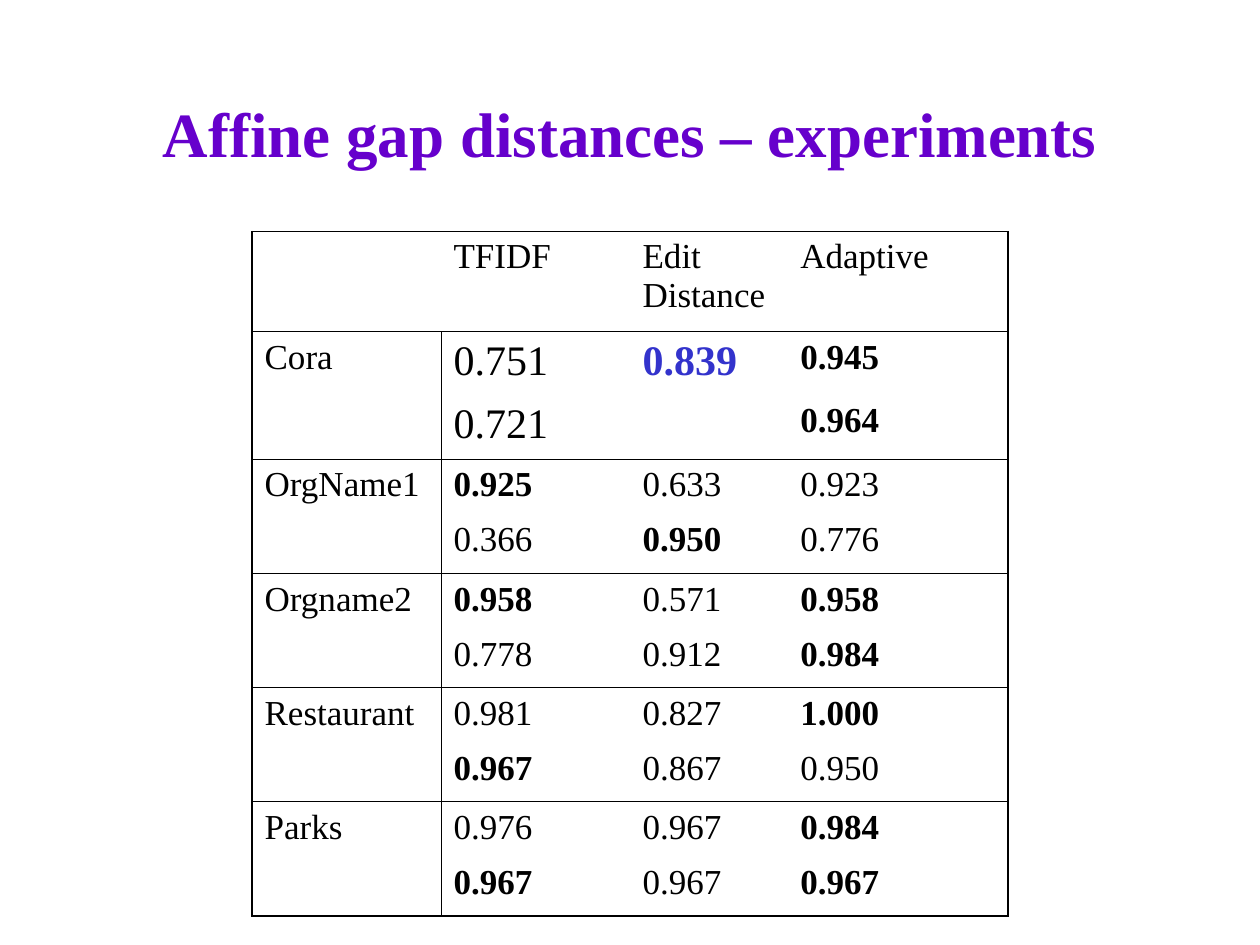
"""Build the slide with the affine gap distance experiments."""
import pptx
import pptx.dml.color
import pptx.enum.text
import pptx.oxml
import pptx.oxml.ns
import pptx.util

Cm = pptx.util.Cm
FONT = "Times New Roman"
BLACK, PURPLE, BLUE = "000000", "6600CC", "3333CC"
THIN, THICK = 0.45, 1.08
COLUMN_WIDTHS = [3.81, 3.81, 3.18, 4.44]
ROW_HEIGHTS = [2.03, 1.27, 1.3] + [1.11, 1.19] * 4
RESULTS = [
    ["", "TFIDF", "Edit Distance", "Adaptive"],
    ["Cora", "0.751", "0.839", "0.945"],
    ["", "0.721", "", "0.964"],
    ["OrgName1", "0.925", "0.633", "0.923"],
    ["", "0.366", "0.950", "0.776"],
    ["Orgname2", "0.958", "0.571", "0.958"],
    ["", "0.778", "0.912", "0.984"],
    ["Restaurant", "0.981", "0.827", "1.000"],
    ["", "0.967", "0.867", "0.950"],
    ["Parks", "0.976", "0.967", "0.984"],
    ["", "0.967", "0.967", "0.967"],
]
BOLD_CELLS = {(1, 2), (1, 3), (2, 3), (3, 1), (4, 2), (5, 1), (5, 3), (6, 3),
              (7, 3), (8, 1), (9, 3), (10, 1), (10, 3)}
LARGE_CELLS = {(1, 1), (1, 2), (2, 1)}
BLUE_CELLS = {(1, 2)}


def rgb(color):
    """Return the colour object for a hex string."""
    return pptx.dml.color.RGBColor.from_string(color)


def format_runs(paragraph, size, color, bold):
    """Format every run of a paragraph."""
    for run in paragraph.runs:
        run.font.name = FONT
        run.font.size = pptx.util.Pt(size)
        run.font.bold = bold
        run.font.color.rgb = rgb(color)


def set_borders(cell, widths):
    """Draw the left, right, top and bottom borders, where zero means none."""
    properties = cell._tc.get_or_add_tcPr()
    for position, (side, width) in enumerate(zip("LRTB", widths)):
        paint = f'<a:solidFill><a:srgbClr val="{BLACK}"/></a:solidFill>' if width else "<a:noFill/>"
        line = pptx.oxml.parse_xml(
            f'<a:ln{side} {pptx.oxml.ns.nsdecls("a")} w="{pptx.util.Pt(width)}">{paint}</a:ln{side}>')
        properties.insert(position, line)


def border_widths(row, column, last_row):
    """Return the border widths of a cell that reaches down to last_row."""
    label_line = THIN if row > 0 else 0
    left = {0: THICK, 1: label_line}.get(column, 0)
    right = {0: label_line, len(COLUMN_WIDTHS) - 1: THICK}.get(column, 0)
    top = THIN if row == 0 or row % 2 else 0
    bottom = THIN if last_row % 2 == 0 else 0
    if last_row == len(RESULTS) - 1:
        bottom = THICK
    return left, right, top, bottom


def add_title(slide, left, top, width, height):
    """Place the title in the given box."""
    title = slide.shapes.title
    title.left, title.top, title.width, title.height = Cm(left), Cm(top), Cm(width), Cm(height)
    title.text_frame.text = "Affine gap distances – experiments"
    title.text_frame.vertical_anchor = pptx.enum.text.MSO_ANCHOR.MIDDLE
    paragraph = title.text_frame.paragraphs[0]
    paragraph.alignment = pptx.enum.text.PP_ALIGN.CENTER
    format_runs(paragraph, 36, PURPLE, True)


def add_results_table(slide, left, top):
    """Place the results table with its corner at the given point."""
    table = slide.shapes.add_table(
        len(RESULTS), len(COLUMN_WIDTHS), Cm(left), Cm(top),
        Cm(sum(COLUMN_WIDTHS)), Cm(sum(ROW_HEIGHTS))).table
    table.first_row = table.horz_banding = False
    for column, width in zip(table.columns, COLUMN_WIDTHS):
        column.width = Cm(width)
    for row, height in zip(table.rows, ROW_HEIGHTS):
        row.height = Cm(height)
    for row in range(1, len(RESULTS), 2):
        table.cell(row, 0).merge(table.cell(row + 1, 0))
    for row, values in enumerate(RESULTS):
        for column, value in enumerate(values):
            cell, place = table.cell(row, column), (row, column)
            cell.fill.background()
            last_row = row + cell.span_height - 1 if cell.is_merge_origin else row
            set_borders(cell, border_widths(row, column, last_row))
            if value:
                cell.text_frame.text = value
                format_runs(cell.text_frame.paragraphs[0],
                            24 if place in LARGE_CELLS else 20,
                            BLUE if place in BLUE_CELLS else BLACK,
                            place in BOLD_CELLS)


def main():
    """Build and save the presentation."""
    presentation = pptx.Presentation()
    presentation.slide_width, presentation.slide_height = Cm(25.4), Cm(19.05)
    slide = presentation.slides.add_slide(presentation.slide_layouts[5])
    add_title(slide, 1.9, 1.07, 21.6, 3.18)
    add_results_table(slide, 5.08, 4.66)
    presentation.save("out.pptx")


if __name__ == "__main__":
    main()
